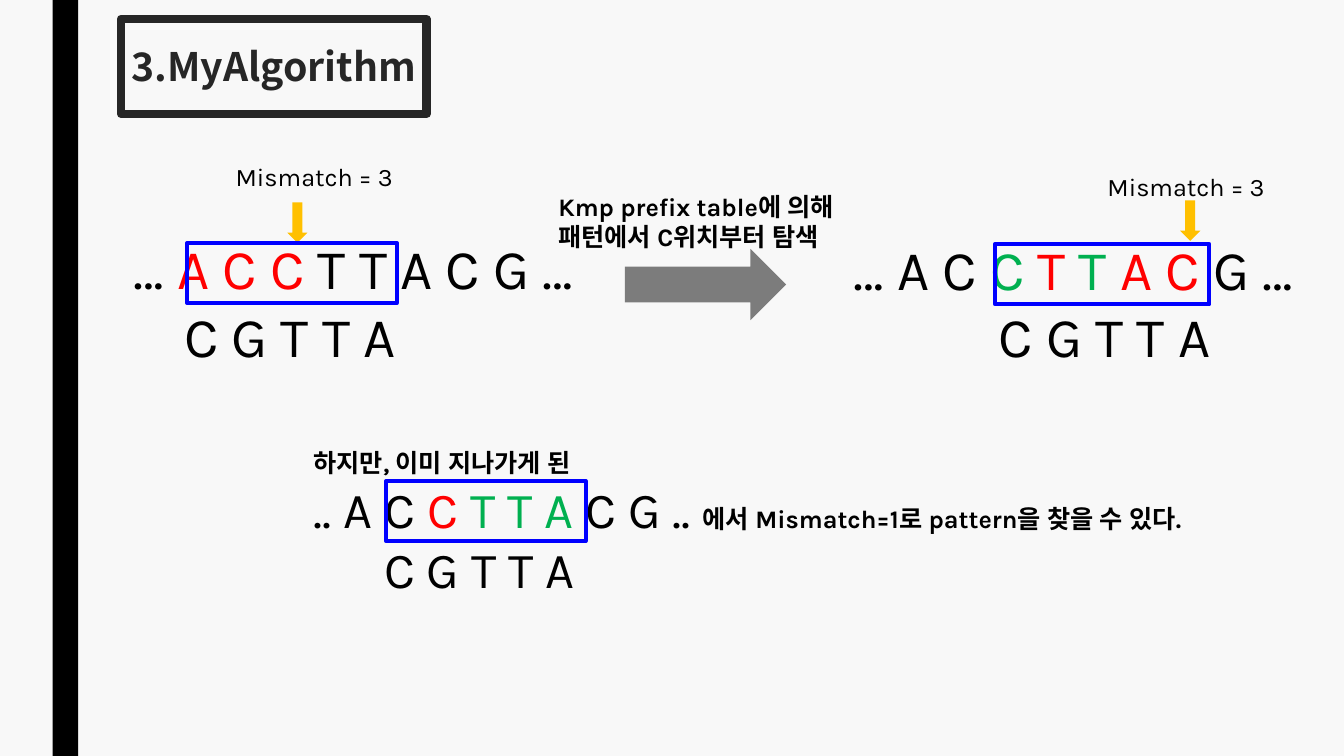
from dataclasses import dataclass
from lxml.etree import SubElement
from pptx import Presentation
from pptx.dml.color import RGBColor
from pptx.enum.shapes import MSO_SHAPE
from pptx.enum.text import PP_ALIGN
from pptx.oxml.ns import qn
from pptx.util import Cm, Pt


@dataclass(frozen=True)
class Theme:
    background: str = "F8F8F8"
    black: str = "000000"
    title: str = "262626"
    mismatch: str = "FF0000"
    match: str = "00B050"
    marker: str = "FFC000"
    step: str = "7C7C7C"
    window: str = "0000FF"
    body_font: str = "Karla"
    title_font: str = "Noto Sans CJK KR"
    title_size: int = 28
    sequence_size: int = 40
    example_size: int = 36
    note_size: int = 18
    title_line: float = 6
    window_line: float = 2.75


THEME = Theme()


def add_block(slide, kind, box, fill=None, line=None, width=0):
    shape = slide.shapes.add_shape(kind, *map(Cm, box))
    shape.shadow.inherit = False
    for part, color in ((shape.fill, fill), (shape.line.fill, line)):
        if color:
            part.solid()
            part.fore_color.rgb = RGBColor.from_string(color)
        else:
            part.background()
    if line:
        shape.line.width = Pt(width)


def add_run(paragraph, text, size, color=THEME.black, bold=False, font=THEME.body_font):
    run = paragraph.add_run()
    run.text = text
    values = {"size": Pt(size), "bold": bold, "name": font}
    for name, value in values.items():
        setattr(run.font, name, value)
    run.font.color.rgb = RGBColor.from_string(color)
    SubElement(run.font._element, qn("a:ea")).set("typeface", font)


def add_text(slide, box, paragraphs, align=PP_ALIGN.LEFT):
    frame = slide.shapes.add_textbox(*map(Cm, box)).text_frame
    frame.word_wrap = True
    for index, (indent, runs) in enumerate(paragraphs):
        paragraph = frame.paragraphs[0] if index == 0 else frame.add_paragraph()
        paragraph.alignment = align
        if indent:
            properties = paragraph._p.get_or_add_pPr()
            properties.set("marL", str(Cm(indent)))
            properties.set("indent", "0")
        for run in runs:
            add_run(paragraph, **run)


def colored(size, *parts):
    return [{"text": text, "size": size, "color": color} for text, color in parts]


def bold_note(text):
    return {"text": text, "size": THEME.note_size, "bold": True}


def add_title(slide, text):
    add_block(slide, MSO_SHAPE.RECTANGLE, (3.05, 0.48, 7.7, 2.39),
              line=THEME.title, width=THEME.title_line)
    title = {"text": text, "size": THEME.title_size, "color": THEME.title,
             "bold": True, "font": THEME.title_font}
    add_text(slide, (3.05, 0.94, 7.7, 1.45), [(0, [title])], PP_ALIGN.CENTER)


def add_window(slide, left, top, width):
    add_block(slide, MSO_SHAPE.RECTANGLE, (left, top, width, 1.52),
              line=THEME.window, width=THEME.window_line)


def add_mismatch(slide, label_left, label_top, arrow_left, arrow_top):
    label = colored(THEME.note_size, ("Mismatch = 3", THEME.black))
    add_text(slide, (label_left, label_top, 8.15, 1.02), [(0, label)])
    add_block(slide, MSO_SHAPE.DOWN_ARROW, (arrow_left, arrow_top, 0.51, 1.02), THEME.marker)


def add_comparison(slide, box, sequence, pattern_indent):
    pattern = colored(THEME.sequence_size, ("C G T T A", THEME.black))
    add_text(slide, box, [(0, colored(THEME.sequence_size, *sequence)),
                          (pattern_indent, pattern)])


def main():
    presentation = Presentation()
    presentation.slide_width, presentation.slide_height = Cm(33.87), Cm(19.05)
    slide = presentation.slides.add_slide(presentation.slide_layouts[6])
    slide.background.fill.solid()
    slide.background.fill.fore_color.rgb = RGBColor.from_string(THEME.background)
    black, red, green = THEME.black, THEME.mismatch, THEME.match

    add_block(slide, MSO_SHAPE.RECTANGLE, (1.33, 0, 0.64, 19.05), black)
    add_title(slide, "3.MyAlgorithm")

    add_comparison(slide, (3.12, 5.77, 12.88, 5.38),
                   [("…", black), (" A C C", red), (" T T A C G …", black)], 1.27)
    add_mismatch(slide, 5.69, 3.94, 7.24, 5.1)

    add_block(slide, MSO_SHAPE.RIGHT_ARROW, (15.75, 6.27, 4.06, 1.8), THEME.step)
    add_text(slide, (13.82, 4.7, 7.77, 1.8),
             [(0, [bold_note("Kmp prefix table에 의해")]),
              (0, [bold_note("패턴에서 C위치부터 탐색")])])

    add_comparison(slide, (21.26, 5.79, 12.27, 5.38),
                   [("… A C ", black), ("C ", green), ("T ", red), ("T ", green),
                    ("A C", red), (" G …", black)], 3.66)
    add_mismatch(slide, 27.66, 4.19, 29.74, 5.05)

    example = colored(THEME.example_size, (".. A C ", black), ("C", red),
                      (" T T A ", green), ("C G .. ", black))
    add_text(slide, (7.65, 11.15, 22.83, 4.11),
             [(0, [bold_note("하지만, 이미 지나가게 된")]),
              (0, example + [bold_note("에서 Mismatch=1로 pattern을 찾을 수 있다.")]),
              (1.78, colored(THEME.example_size, ("C G T T A", black)))])

    for left, top, width in ((9.73, 12.12, 5.03), (4.72, 6.12, 5.28), (25.07, 6.15, 5.41)):
        add_window(slide, left, top, width)

    presentation.save("out.pptx")


main()
